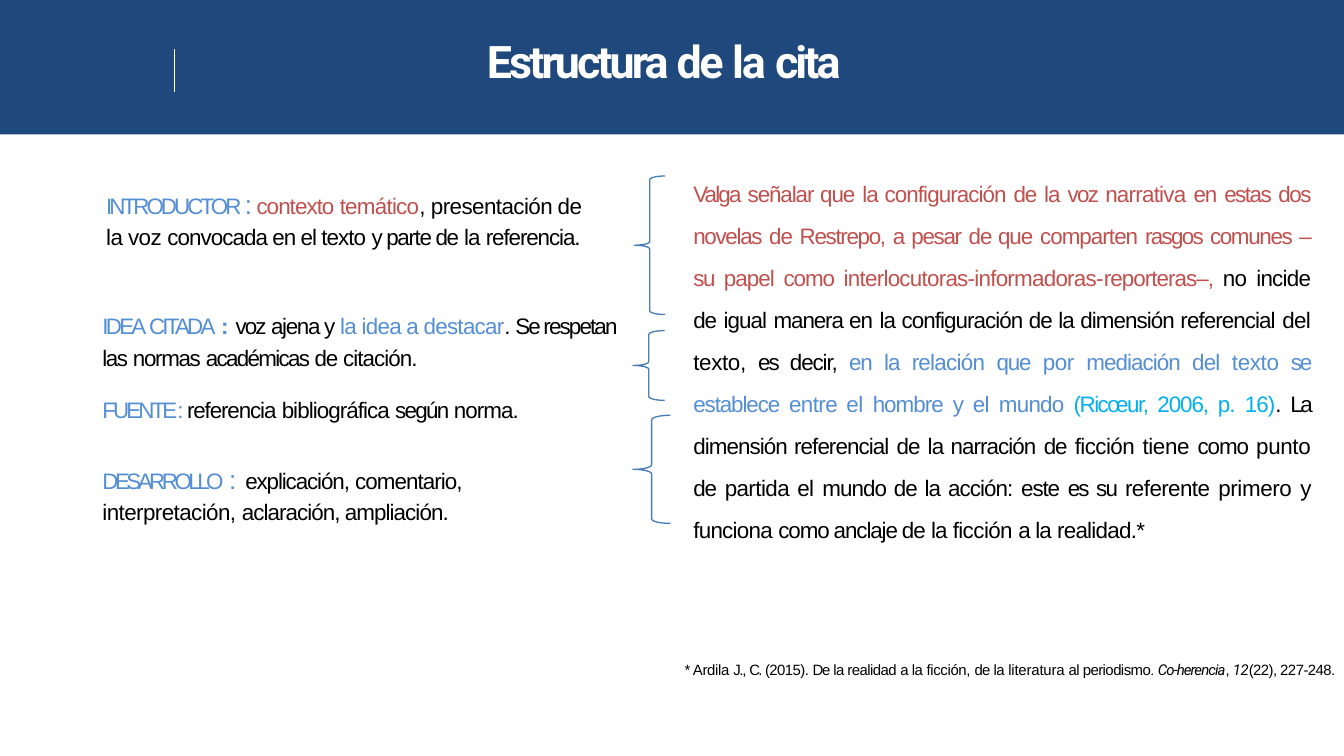
from dataclasses import dataclass
from lxml import etree
from pptx import Presentation
from pptx.dml.color import RGBColor
from pptx.enum import shapes, text
from pptx.oxml import ns
from pptx.util import Pt


@dataclass(frozen=True)
class Theme:
    navy: str = "1F487C"
    white: str = "FFFFFF"
    black: str = "000000"
    blue: str = "548ED4"
    red: str = "C0504D"
    cyan: str = "00B0F0"
    brace: str = "497DBA"
    head: str = "Roboto"
    body: str = "Arial"
    title: float = 24
    big: float = 14
    main: float = 12
    note: float = 8
    rule: float = 0.72


T = Theme()


def add_runs(para, parts, color, size=T.main, font=T.body, bold=False, italic=False):
    """Add (text, letter spacing in points) pairs; a None text breaks the line."""
    for words, gap in parts:
        if words is None:
            para.add_line_break()
            continue
        run = para.add_run()
        run.text = words
        face = run.font
        face.name, face.size = font, Pt(size)
        face.bold, face.italic = bold, italic
        face.color.rgb = RGBColor.from_string(color)
        run._r.get_or_add_rPr().set("spc", str(round(gap * 100)))


def add_box(slide, box):
    frame = slide.shapes.add_textbox(*map(Pt, box)).text_frame
    frame.word_wrap = True
    frame.margin_left = frame.margin_right = frame.margin_bottom = 0
    frame.margin_top = Pt(0.9)
    return frame


def set_para(para, indent=0.9, before=0, lines=1.0):
    para.space_before, para.line_spacing = Pt(before), lines
    para._p.get_or_add_pPr().set("marL", str(Pt(indent)))
    return para


def add_header(slide, box):
    x, y, w, h = box
    # Band
    band = slide.shapes.add_shape(shapes.MSO_SHAPE.RECTANGLE, *map(Pt, box))
    band.shadow.inherit = False
    band.fill.solid()
    band.fill.fore_color.rgb = RGBColor.from_string(T.navy)
    band.line.fill.background()
    # Divider
    mark = slide.shapes.add_connector(
        shapes.MSO_CONNECTOR.STRAIGHT,
        Pt(x + 93.6), Pt(y + 26.4), Pt(x + 93.6), Pt(y + 49.2))
    mark.line.color.rgb = RGBColor.from_string(T.white)
    mark.line.width = Pt(T.rule)
    etree.SubElement(mark._element.spPr, ns.qn("a:effectLst"))
    # Title
    frame = add_box(slide, (x + 260, y + 17.3, 198.7, 31))
    para = set_para(frame.paragraphs[0], before=1)
    add_runs(para, [("Estructura ", -1.6), ("de ", -1.4), ("la ", -1.1), ("cita", -1.6)],
             T.white, T.title, T.head, bold=True)


def add_terms(slide, box):
    frame = add_box(slide, box)
    # Introducer
    para = set_para(frame.paragraphs[0], 2.9, 0.6, 1.12)
    add_runs(para, [("INTRODUCTOR ", -1.6)], T.blue)
    add_runs(para, [(": ", -1.6)], T.blue, T.big)
    add_runs(para, [("contexto ", -0.5), ("temático", -0.4)], T.red)
    add_runs(para, [(", ", -0.4), ("presentación de ", -0.3), (None, 0), ("la voz ", -0.3),
                    ("convocada en el texto ", -0.5), ("y parte de ", -0.7),
                    ("la ", -0.5), ("referencia.", -0.6)], T.black)
    # Cited idea
    para = set_para(frame.add_paragraph(), before=30.5, lines=1.2)
    add_runs(para, [("IDEA  CITADA  ", -1.5)], T.blue)
    add_runs(para, [(":  ", -1.5)], T.blue, bold=True)
    add_runs(para, [("voz ", -1), ("ajena y ", -0.7)], T.black)
    add_runs(para, [("la idea a destacar", -0.4)], T.blue)
    add_runs(para, [(". ", -0.8), ("Se respetan ", -1), ("las ", -0.8), ("normas ", -0.7),
                    ("académicas ", -0.9), ("de ", -0.7), ("citación.", -0.5)], T.black)
    # Source
    para = set_para(frame.add_paragraph(), before=10.7, lines=1.2)
    add_runs(para, [("FUENTE : ", -1.6)], T.blue)
    add_runs(para, [("referencia ", -0.6), ("bibliográfica ", -0.5),
                    ("según ", -0.9), ("norma.", -0.5)], T.black)
    # Development
    para = set_para(frame.add_paragraph(), before=19.4, lines=1.12)
    add_runs(para, [("DESARROLLO  ", -1.9)], T.blue)
    add_runs(para, [(":", -1.9)], T.blue, T.big)
    add_runs(para, [("  ", -1.9)], T.blue)
    add_runs(para, [("explicación, ", -0.6), ("comentario, ", -0.5), (None, 0),
                    ("interpretación, ", -0.3), ("aclaración, ampliación.", -0.5)], T.black)


def add_quote(slide, box):
    para = set_para(add_box(slide, box).paragraphs[0], 24.5, 1, 1.56)
    para.alignment = text.PP_ALIGN.JUSTIFY
    # Context
    add_runs(para, [
        ("Valga ", -1), ("señalar que ", -0.6), ("la configuración ", -0.5), ("de ", -0.6),
        ("la ", -0.5), ("voz ", -0.9), ("narrativa ", -0.4), ("en ", -0.6), ("estas ", -0.8),
        ("dos novelas ", -0.7), ("de ", -0.6), ("Restrepo, ", -0.7), ("a ", -0.9),
        ("pesar ", -0.7), ("de que ", -0.6), ("comparten ", -0.5), ("rasgos ", -0.9),
        ("comunes ", -0.7), ("–su ", -0.8), ("papel ", -0.5), ("como ", -0.6),
        ("interlocutoras-informadoras-", -0.4), ("reporteras–, ", -0.5)], T.red)
    add_runs(para, [
        ("no ", -0.3), ("incide ", -0.4), ("de ", -0.6), ("igual ", -0.5), ("manera en ", -0.6),
        ("la configuración de la dimensión referencial ", -0.5), ("del ", -0.3),
        ("texto, ", -0.2), ("es ", -1.1), ("decir, ", -0.6)], T.black)
    # Cited idea and its source
    add_runs(para, [
        ("en ", -0.6), ("la ", -0.5), ("relación ", -0.4), ("que ", -0.6), ("por ", -0.2),
        ("mediación ", -0.5), ("del ", -0.4), ("texto ", -0.2), ("se ", -1.1),
        ("establece ", -0.6), ("entre el ", -0.3), ("hombre ", -0.5), ("y ", -0.6),
        ("el ", -0.3), ("mundo ", -0.4)], T.blue)
    add_runs(para, [("(Ricœur, ", -0.8), ("2006, ", -0.6), ("p. ", -0.4), ("16)", -0.5)], T.cyan)
    # Development
    add_runs(para, [
        (". ", -0.5), ("La ", -1.3), ("dimensión referencial ", -0.5), ("de ", -0.6),
        ("la narración ", -0.5), ("de ", -0.6), ("ficción ", -0.3), ("tiene ", -0.2),
        ("como ", -0.6), ("punto ", -0.2), ("de ", -0.6), ("partida el ", -0.3),
        ("mundo de la acción: ", -0.5), ("este ", -0.6), ("es ", -1.1), ("su ", -0.9),
        ("referente ", -0.3), ("primero ", -0.2), ("y ", -0.6), ("funciona ", -0.4),
        ("como anclaje de ", -0.6), ("la ", -0.5), ("ficción ", -0.3), ("a ", -0.9),
        ("la ", -0.5), ("realidad.*", -0.4)], T.black)


def add_brace(slide, box):
    brace = slide.shapes.add_shape(shapes.MSO_SHAPE.LEFT_BRACE, *map(Pt, box))
    brace.shadow.inherit = False
    brace.adjustments[0] = 0.12
    brace.fill.background()
    brace.line.color.rgb = RGBColor.from_string(T.brace)
    brace.line.width = Pt(T.rule)


def add_note(slide, box):
    para = set_para(add_box(slide, box).paragraphs[0], before=1.1)
    add_runs(para, [
        ("* Ardila ", -0.2), ("J., ", -0.7), ("C. ", -0.9), ("(2015). ", -0.3), ("De ", -0.7),
        ("la realidad ", -0.3), ("a ", -0.6), ("la ", -0.3), ("ficción, ", -0.2),
        ("de la ", -0.3), ("literatura ", -0.1), ("al periodismo", -0.3)], T.black, T.note)
    add_runs(para, [(". ", -0.3), ("Co-herencia", -0.5)], T.black, T.note, T.head, italic=True)
    add_runs(para, [(", ", -0.5)], T.black, T.note)
    add_runs(para, [("12", -0.3)], T.black, T.note, T.head, italic=True)
    add_runs(para, [("(22), 227-248.", -0.3)], T.black, T.note)


deck = Presentation()
deck.slide_width, deck.slide_height = Pt(720), Pt(405)
page = deck.slides.add_slide(deck.slide_layouts[6])
add_header(page, (0, 0, 720, 72))
add_terms(page, (54, 97.9, 281.5, 184.3))
add_quote(page, (347, 87.8, 355, 197.3))
for span in ((339.8, 94.3, 16.6, 74.2), (339.1, 177.1, 17, 37.4), (339.1, 222.5, 20, 57.9)):
    add_brace(page, span)
add_note(page, (365.8, 352.8, 354.2, 10.8))
deck.save("out.pptx")
